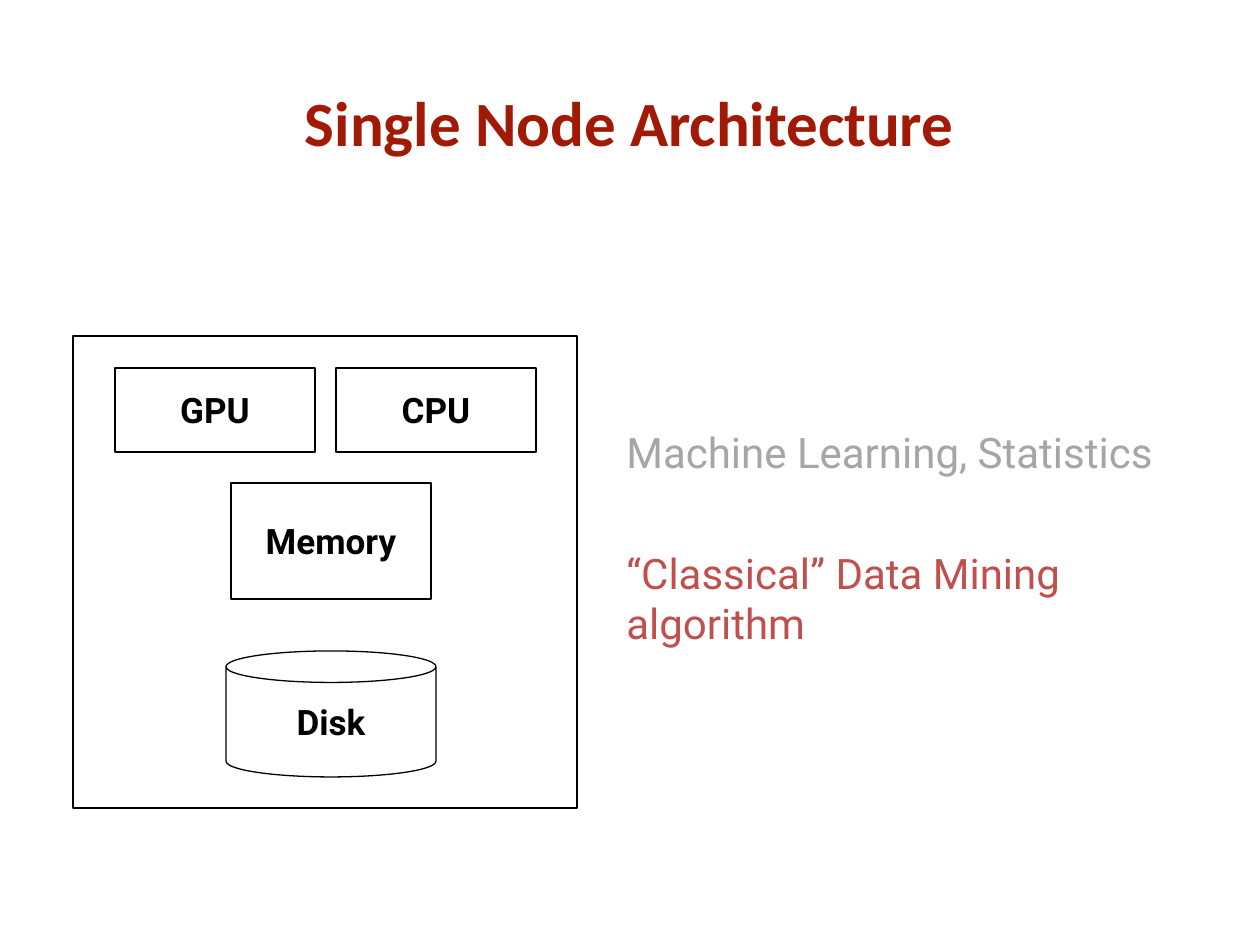
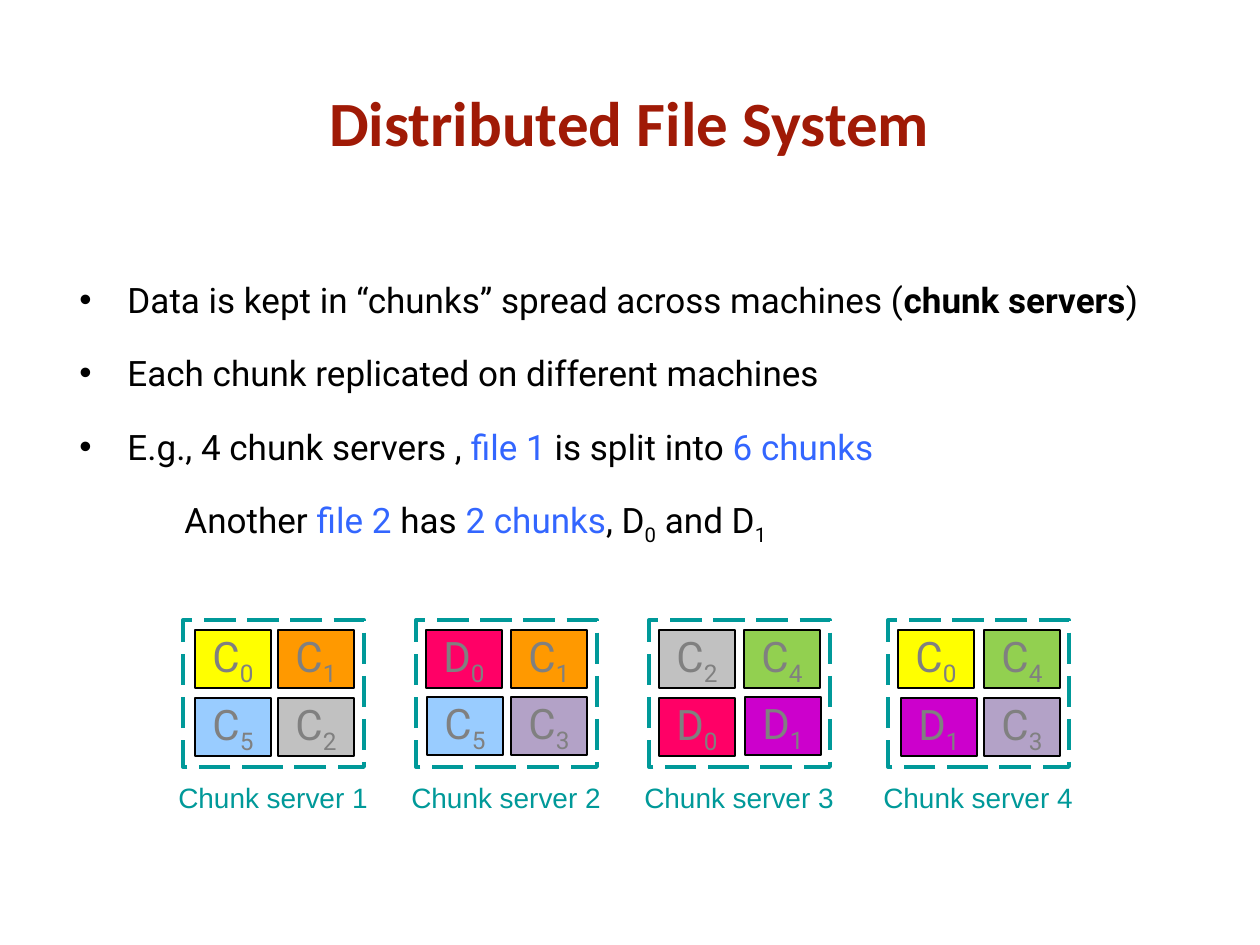
from lxml import etree
from pptx import Presentation
from pptx import util as u
from pptx.dml.color import RGBColor
from pptx.enum import dml, shapes, text
from pptx.oxml.ns import qn

SCALE = 914400 / 126  # EMU per px
COLORS = {
    "title": "A01A06", "ink": "000000", "muted": "A6A6A6", "accent": "C0504D",
    "blue": "3366FF", "teal": "009999", "letter": "808080",
    "C0": "FFFF00", "C1": "FF9900", "C2": "C1C1C1", "C3": "B3A2C7",
    "C4": "92D050", "C5": "99CCFF", "D0": "FF0066", "D1": "CC00CC",
}


def place(page, kind, bounds, line=None, fill=None, weight=0.75):
    """Add a text box (kind None) or a preset shape; bounds are in px."""
    lengths = [u.Emu(round(px * SCALE)) for px in bounds]
    if kind is None:
        box = page.shapes.add_textbox(*lengths)
        box.text_frame.word_wrap = True
        return box
    box = page.shapes.add_shape(kind, *lengths)
    box.shadow.inherit = False
    box.line.color.rgb = RGBColor.from_string(COLORS[line])
    box.line.width = u.Pt(weight)
    if fill:
        box.fill.solid()
        box.fill.fore_color.rgb = RGBColor.from_string(COLORS[fill])
    else:
        box.fill.background()
    return box


def write(para, spans, font, size, color, bold=None, align=text.PP_ALIGN.LEFT):
    """Fill a paragraph with (text, style) spans; style is a colour, "bold", "sub" or None."""
    para.alignment = align
    para.font.name, para.font.size, para.font.bold = font, u.Pt(size), bold
    para.font.color.rgb = RGBColor.from_string(COLORS[color])
    for words, style in spans:
        span = para.add_run()
        span.text = words
        if style == "bold":
            span.font.bold = True
        elif style == "sub":
            span._r.get_or_add_rPr().set("baseline", "-25000")
        elif style:
            span.font.color.rgb = RGBColor.from_string(COLORS[style])


deck = Presentation()
deck.slide_width, deck.slide_height = u.Inches(10), u.Inches(7.5)
RECT, CAN = shapes.MSO_SHAPE.RECTANGLE, shapes.MSO_SHAPE.CAN
CENTER = text.PP_ALIGN.CENTER

# Pages with their shared title
pages = []
for title in ("Single Node Architecture", "Distributed File System"):
    page = deck.slides.add_slide(deck.slide_layouts[6])
    box = place(page, None, (94, 42, 1071, 158))
    box.text_frame.vertical_anchor = text.MSO_ANCHOR.MIDDLE
    write(box.text_frame.paragraphs[0], [(title, None)], "Calibri", 36, "title", True, CENTER)
    pages.append(page)
node_page, files_page = pages

# Single node: frame and its parts
place(node_page, RECT, (73, 336, 504, 472), "ink")
parts = [
    ("GPU", RECT, (115, 368, 200, 84)),
    ("CPU", RECT, (336, 368, 200, 84)),
    ("Memory", RECT, (231, 483, 200, 116)),
    ("Disk", CAN, (226, 651, 210, 126)),
]
for name, kind, bounds in parts:
    box = place(node_page, kind, bounds, "ink")
    box.text_frame.word_wrap = False
    box.text_frame.vertical_anchor = text.MSO_ANCHOR.MIDDLE
    write(box.text_frame.paragraphs[0], [(name, None)], "Roboto", 20, "ink", True, CENTER)

# Single node: remarks beside the frame
remarks = [
    ("Machine Learning, Statistics", (614, 420, 557, 63), "muted"),
    ("“Classical” Data Mining algorithm", (614, 541, 646, 63), "accent"),
]
for words, bounds, color in remarks:
    box = place(node_page, None, bounds)
    write(box.text_frame.paragraphs[0], [(words, None)], "Roboto", 24, color)

# File system: bullets, then an indented line
points = [
    [("Data is kept in “chunks” spread across machines (", None),
     ("chunk servers", "bold"), (")", None)],
    [("Each chunk replicated on different machines", None)],
    [("E.g., 4 chunk servers , ", None), ("file 1", "blue"),
     (" is split into ", None), ("6 chunks", "blue")],
    [("Another ", None), ("file 2", "blue"), (" has ", None), ("2 chunks", "blue"),
     (", D", None), ("0", "sub"), (" and D", None), ("1", "sub")],
]
frame = place(files_page, None, (67, 272, 1168, 277)).text_frame
for index, spans in enumerate(points):
    para = frame.add_paragraph() if index else frame.paragraphs[0]
    para.space_after = u.Pt(18)
    props = para._p.get_or_add_pPr()
    if index < 3:
        indent = round(48 * SCALE)
        props.set("marL", str(indent))
        props.set("indent", str(-indent))
        bullet_color = etree.SubElement(props, qn("a:buClr"))
        etree.SubElement(bullet_color, qn("a:srgbClr")).set("val", COLORS["ink"])
        etree.SubElement(props, qn("a:buFont")).set("typeface", "Arial")
        etree.SubElement(props, qn("a:buChar")).set("char", "•")
    else:
        props.set("marL", str(round(105 * SCALE)))
    write(para, spans, "Roboto", 20, "ink")

# File system: servers as (left, chunks), each chunk as (name, left, top)
servers = [
    (183, [("C0", 195, 630), ("C1", 278, 630), ("C5", 195, 698), ("C2", 278, 698)]),
    (416, [("D0", 426, 630), ("C1", 511, 630), ("C5", 427, 697), ("C3", 511, 697)]),
    (649, [("C2", 659, 630), ("C4", 744, 630), ("D0", 659, 698), ("D1", 745, 697)]),
    (888, [("C0", 898, 630), ("C4", 984, 630), ("D1", 901, 698), ("C3", 984, 698)]),
]
for number, (left, chunks) in enumerate(servers, 1):
    outline = place(files_page, RECT, (left, 620, 181, 147), "teal", weight=2.25)
    outline.line.dash_style = dml.MSO_LINE.LONG_DASH
    label = place(files_page, None, (left - 17, 774, 215, 47))
    label.text_frame.word_wrap = False
    write(label.text_frame.paragraphs[0], [(f"Chunk server {number}", None)], "Arial", 16, "teal")
    for name, chunk_left, top in chunks:
        box = place(files_page, RECT, (chunk_left, top, 76, 58), "ink", name)
        frame = box.text_frame
        frame.margin_left = frame.margin_right = frame.margin_top = frame.margin_bottom = 0
        frame.vertical_anchor = text.MSO_ANCHOR.TOP
        write(frame.paragraphs[0], [(name[0], None), (name[1], "sub")],
              "Roboto", 24, "letter", align=CENTER)

deck.save("out.pptx")
